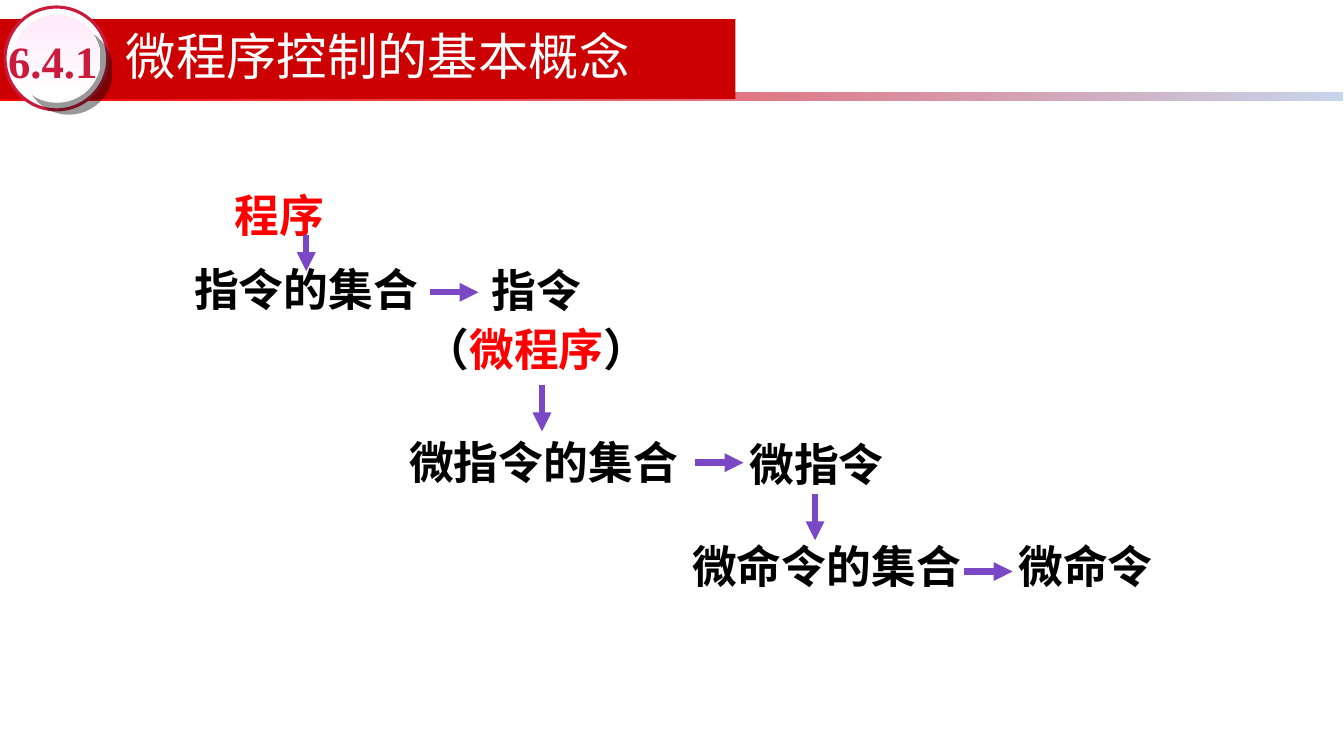
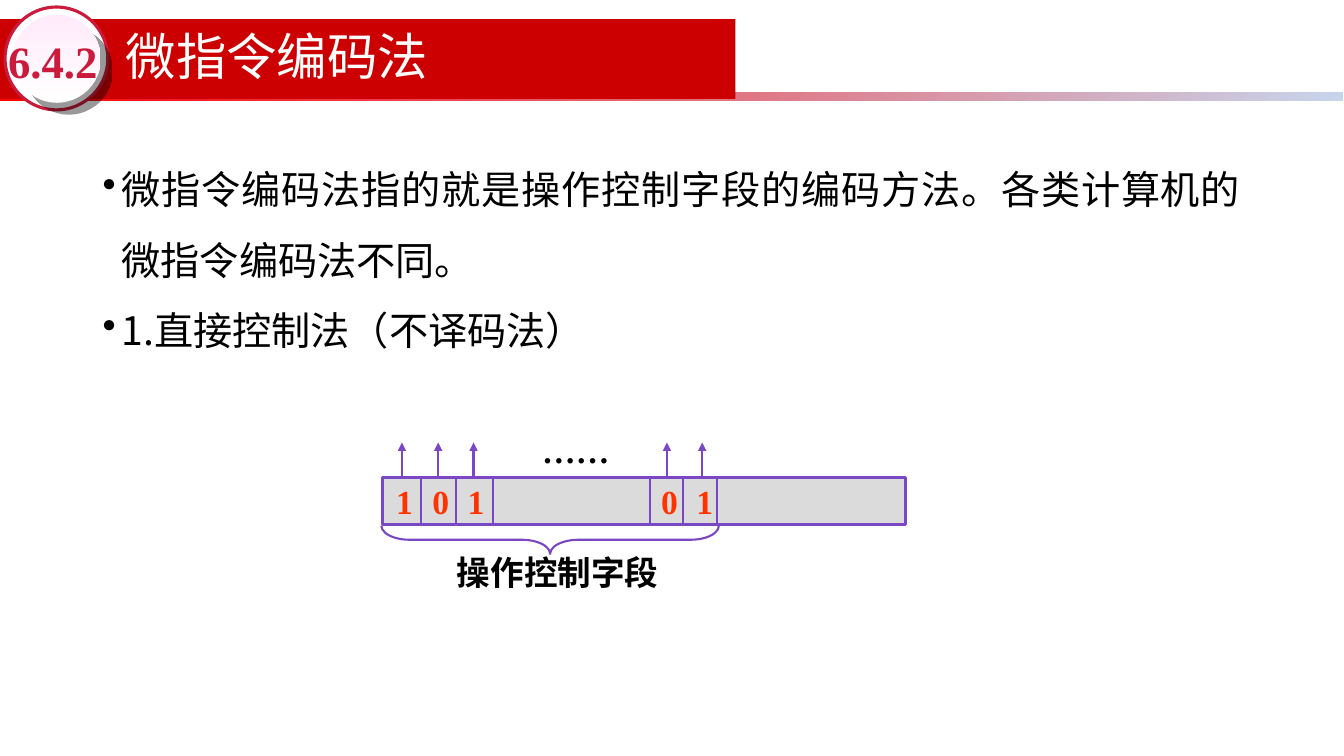
from lxml import etree
from pptx import Presentation
from pptx.dml.color import RGBColor as Rgb
from pptx.enum.shapes import MSO_CONNECTOR as Conn, MSO_SHAPE as Kind
from pptx.enum.text import MSO_ANCHOR as Anchor, PP_ALIGN as Align
from pptx.oxml.ns import qn
from pptx.util import Inches, Pt

HUES = {
    "band": "CC0000", "rule": "FF0000", "fade": "C7D5ED", "ring": "CB1B3D",
    "blush": "FFEBFA", "white": "FFFFFF", "black": "000000", "key": "FF0000",
    "line": "7A48C4", "cell": "DBDBDB", "bit": "FF3300",
}
HUES = {name: Rgb.from_string(code) for name, code in HUES.items()}
SANS, SERIF = "Noto Sans CJK SC", "Times New Roman"


def write(slide, box, paras, size, face=SERIF, bold=True, align=Align.LEFT,
          mid=False, inset=True, gap=1.0, bullet=False):
    """Add a text box; each paragraph is a list of (text, hue) runs."""
    frame = slide.shapes.add_textbox(*map(Inches, box)).text_frame
    frame.word_wrap = True
    frame.vertical_anchor = Anchor.MIDDLE if mid else Anchor.TOP
    if not inset:
        frame.margin_left = frame.margin_right = 0
        frame.margin_top = frame.margin_bottom = 0
    for i, runs in enumerate(paras):
        para = frame.add_paragraph() if i else frame.paragraphs[0]
        para.alignment = align
        para.line_spacing = gap
        if bullet:
            props = para._p.get_or_add_pPr()
            props.set("marL", str(Inches(0.19)))
            props.set("indent", str(-Inches(0.19)))
            etree.SubElement(props, qn("a:buChar"), char="•")
        for text, hue in runs:
            run = para.add_run()
            run.text = text
            font = run.font
            font.size, font.bold, font.name = Pt(size), bold, face
            font.color.rgb = HUES[hue]
            if face == SANS:
                etree.SubElement(run._r.rPr, qn("a:ea"), typeface=face)
    return frame


def draw(slide, x1, y1, x2, y2, width, arrow=False):
    """Add a straight line, with an arrowhead at its end if asked."""
    line = slide.shapes.add_connector(
        Conn.STRAIGHT, *map(Inches, (x1, y1, x2, y2)))
    line.line.color.rgb = HUES["line"]
    line.line.width = Pt(width)
    if arrow:
        etree.SubElement(line.line._get_or_add_ln(), qn("a:tailEnd"), type="triangle")
    etree.SubElement(line._element.spPr, qn("a:effectLst"))


deck = Presentation()
deck.slide_width, deck.slide_height = Inches(13.34), Inches(7.5)

# Shared header: kind, box, fill hues, gradient angle, outline hue
HEAD = [
    (Kind.RECTANGLE, (0, 0.92, 13.33, 0.08), ("rule", "fade"), 315, None),
    (Kind.RECTANGLE, (0, 0.19, 7.3, 0.79), ("band",), 0, None),
    (Kind.OVAL, (0.05, 0.07, 1.02, 1.02), ("white",), 0, "ring"),
    (Kind.OVAL, (0.13, 0.15, 0.87, 0.87), ("white", "blush"), 90, None),
]
slides = []
for number, title in [("6.4.1", "微程序控制的基本概念"), ("6.4.2", "微指令编码法")]:
    slide = deck.slides.add_slide(deck.slide_layouts[6])
    slides.append(slide)
    for kind, box, fills, angle, edge in HEAD:
        shape = slide.shapes.add_shape(kind, *map(Inches, box))
        shape.shadow.inherit = False
        if len(fills) == 2:
            shape.fill.gradient()
            shape.fill.gradient_angle = angle
            for stop, hue in zip(shape.fill.gradient_stops, fills):
                stop.color.rgb = HUES[hue]
        else:
            shape.fill.solid()
            shape.fill.fore_color.rgb = HUES[fills[0]]
        if edge:
            shape.line.color.rgb = HUES[edge]
            shape.line.width = Pt(2.25)
        else:
            shape.line.fill.background()
    # Shadow of the badge, the last header shape
    shade = etree.SubElement(
        shape._element.spPr.find(qn("a:effectLst")), qn("a:outerShdw"),
        dist=str(Pt(12.1)), dir="2700000", algn="ctr", rotWithShape="0")
    tone = etree.SubElement(shade, qn("a:srgbClr"), val=str(HUES["black"]))
    etree.SubElement(tone, qn("a:alpha"), val="40000")
    write(slide, (1.15, 0.18, 7.44, 0.82), [[(title, "white")]], 36, SANS,
          bold=False, mid=True, gap=0.9)
    write(slide, (0.08, 0.33, 0.93, 0.54), [[(number, "ring")]], 32,
          mid=True, inset=False)

first, second = slides

# Slide 1: chain from program to micro-command
write(first, (2.23, 1.55, 2, 0.9), [[("程序", "key")]], 32, SANS, gap=1.5)
for box, text, align in [
    ((1.78, 2.55, 2.52, 0.64), "指令的集合", Align.CENTER),
    ((3.82, 4.26, 3.15, 0.64), "微指令的集合", Align.CENTER),
    ((7.34, 4.28, 2.96, 0.64), "微指令", Align.LEFT),
    ((6.63, 5.3, 3.15, 0.64), "微命令的集合", Align.CENTER),
    ((10.01, 5.3, 1.77, 0.64), "微命令", Align.LEFT),
]:
    write(first, box, [[(text, "black")]], 32, align=align)
frame = write(
    first, (4, 2.56, 2.65, 1.18),
    [[("指令", "black")],
     [("（", "black"), ("微程序", "key"), ("）", "black")]],
    32, align=Align.CENTER)
frame.paragraphs[1].line_spacing = 0.5
frame.paragraphs[1].space_before = Pt(20)
for x, y, drop in [(3.04, 2.33, 0.36), (5.38, 3.82, 0.46), (8.09, 4.9, 0.46)]:
    draw(first, x, y, x, y + drop, 4.5, arrow=True)
for x, y in [(4.27, 2.9), (6.9, 4.59), (9.57, 5.67)]:
    draw(first, x, y, x + 0.48, y, 4.5, arrow=True)

# Slide 2: body text
write(second, (0.92, 1.36, 11.5, 2.4),
      [[("微指令编码法指的就是操作控制字段的编码方法。各类计算机的微指令编码法不同。", "black")],
       [("1.直接控制法（不译码法）", "black")]],
      28, SANS, bold=False, align=Align.JUSTIFY, gap=1.5, bullet=True)

# Slide 2: instruction word with its control bits
word = second.shapes.add_shape(
    Kind.RECTANGLE, *map(Inches, (3.8, 4.74, 5.19, 0.46)))
word.fill.solid()
word.fill.fore_color.rgb = HUES["cell"]
brace = second.shapes.add_shape(
    Kind.RIGHT_BRACE, *map(Inches, (5.32, 3.68, 0.28, 3.35)))
brace.rotation = 90
brace.adjustments[0] = 1.0
brace.fill.background()
for shape, width in [(word, 2.25), (brace, 1.5)]:
    shape.shadow.inherit = False
    shape.line.color.rgb = HUES["line"]
    shape.line.width = Pt(width)
for x in (4.18, 4.53, 4.89, 6.45, 6.78, 7.12):
    draw(second, x, 4.75, x, 5.21, 1.5)
for x, bit in [(3.99, "1"), (4.35, "0"), (4.7, "1"), (6.62, "0"), (6.97, "1")]:
    draw(second, x, 4.74, x, 4.39, 1.5, arrow=True)
    write(second, (x - 0.39, 4.72, 0.83, 0.5), [[(bit, "bit")]], 24,
          align=Align.CENTER)
for box, text in [((4.39, 5.43, 2.29, 0.5), "操作控制字段"),
                  ((5.12, 4.22, 1.19, 0.5), "……")]:
    write(second, box, [[(text, "black")]], 24, align=Align.CENTER)

deck.save("out.pptx")
